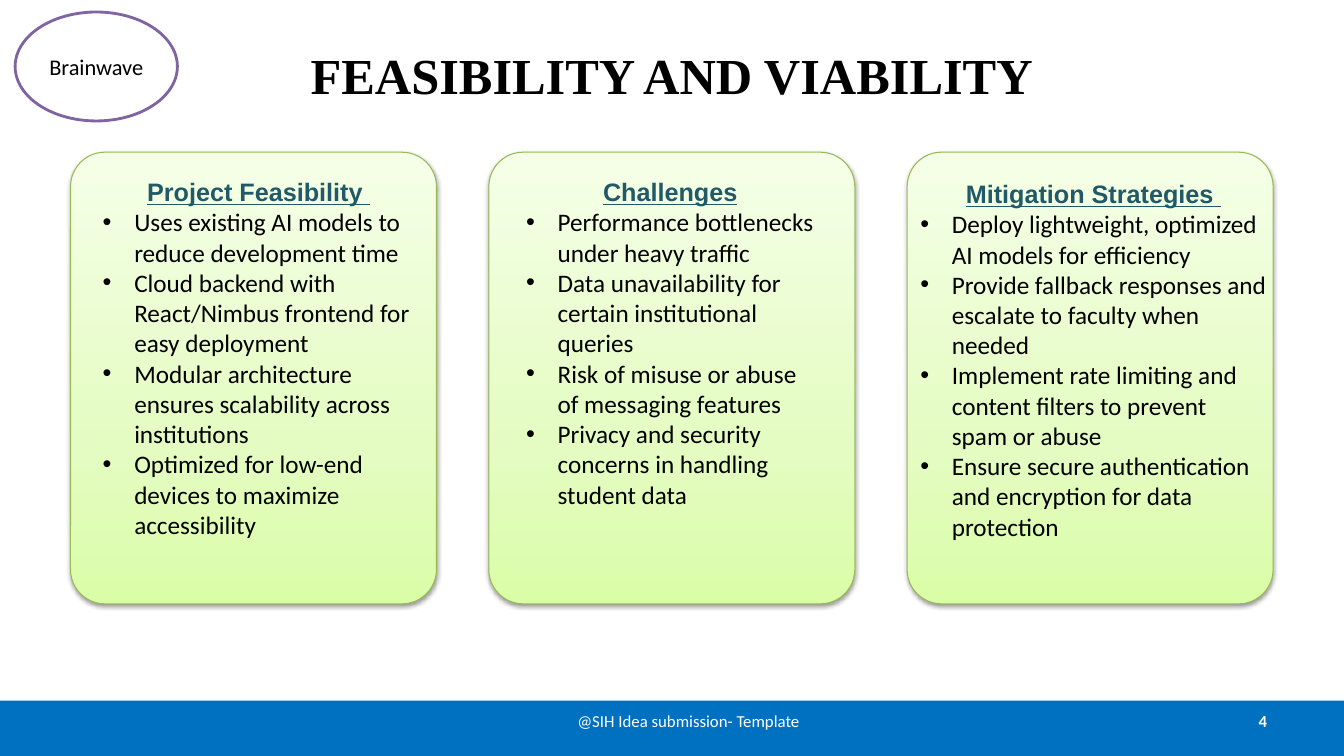
from copy import deepcopy
from dataclasses import dataclass
from lxml.etree import SubElement
from pptx import Presentation
from pptx.dml.color import RGBColor as Rgb
from pptx.enum.shapes import MSO_SHAPE as Shape
from pptx.enum.text import MSO_ANCHOR as Anchor, MSO_AUTO_SIZE as Fit, PP_ALIGN as Align
from pptx.oxml.ns import qn
from pptx.util import Pt

TITLE = "FEASIBILITY AND VIABILITY"
TEAM = "Brainwave "
FOOTER = "@SIH Idea submission- Template"
PAGE_NUMBER = "4"
COLUMNS = [
    {
        "heading": "Project Feasibility ",
        "points": [
            "Uses existing AI models to reduce development time",
            "Cloud backend with React/Nimbus frontend for easy deployment",
            "Modular architecture ensures scalability across institutions",
            "Optimized for low-end devices to maximize accessibility",
        ],
        "list_area": (66.2, 122.4, 236.9, 269.3),
    },
    {
        "heading": "Challenges",
        "points": [
            "Performance bottlenecks under heavy traffic",
            "Data unavailability for certain institutional queries",
            "Risk of misuse or abuse of messaging features",
            "Privacy and security concerns in handling student data",
        ],
        "list_area": (368.6, 122.4, 220.3, 269.3),
    },
    {
        "heading": "Mitigation Strategies ",
        "points": [
            "Deploy lightweight, optimized AI models for efficiency",
            "Provide fallback responses and escalate to faculty when needed",
            "Implement rate limiting and content filters to prevent spam or abuse",
            "Ensure secure authentication and encryption for data protection",
        ],
        "list_area": (650.2, 123.8, 261.4, 290.9),
    },
]


@dataclass(frozen=True)
class Theme:
    black: str = "000000"
    white: str = "FFFFFF"
    bar: str = "0070C0"
    bar_shadow: str = "808080"
    team_line: str = "8064A2"
    heading: str = "215968"
    card_line: str = "98B955"
    card_stops: tuple = ((0, "DAFDA7"), (0.35, "E4FCC2"), (1, "F5FFE7"))
    title_size: int = 36
    body_size: int = 18
    team_size: int = 16
    footer_size: int = 12
    title_font: str = "Times New Roman"
    heading_font: str = "Arial"
    body_font: str = "Calibri"


THEME = Theme()
WIDTH, HEIGHT = 960, 540
BAR_TOP = 500.4
CARD_LEFT, CARD_TOP, CARD_WIDTH, CARD_HEIGHT = 50.4, 108.7, 261.4, 322.6
CARD_PITCH = 298.8
BULLET_INDENT = 22.5


def add_text(frame, text, *, size, color=THEME.black, font=THEME.body_font,
             bold=False, underline=False, align=Align.LEFT, bullet=None):
    first = frame.paragraphs[0]
    para = frame.add_paragraph() if first.runs else first
    para.alignment = align
    para.space_before = Pt(0)
    span = para.add_run()
    span.text = text
    span.font.size = Pt(size)
    span.font.name = font
    span.font.bold = bold
    span.font.underline = underline
    span.font.color.rgb = Rgb.from_string(color)
    indent = Pt(BULLET_INDENT) if bullet else 0
    settings = para._p.get_or_add_pPr()
    settings.set("marL", str(indent))
    settings.set("indent", str(-indent))
    if bullet:
        SubElement(settings, qn("a:buFont"), typeface="Arial")
        SubElement(settings, qn("a:buChar"), char=bullet)
    else:
        SubElement(settings, qn("a:buNone"))


def place(box, left, top, width, height):
    box.left, box.top, box.width, box.height = map(Pt, (left, top, width, height))


def set_frame(box, anchor, fit=Fit.NONE):
    frame = box.text_frame
    frame.word_wrap = True
    frame.auto_size = fit
    frame.vertical_anchor = anchor
    return frame


def add_shape(page, kind, area, *, fill=None, line=None, line_width=0):
    shape = page.shapes.add_shape(kind, *map(Pt, area))
    shape.shadow.inherit = False
    if fill:
        shape.fill.solid()
        shape.fill.fore_color.rgb = Rgb.from_string(fill)
    if line:
        shape.line.color.rgb = Rgb.from_string(line)
        shape.line.width = Pt(line_width)
    else:
        shape.line.fill.background()
    return shape


def add_shadow(shape, color, opacity, blur, distance):
    effects = shape.element.spPr.find(qn("a:effectLst"))
    shadow = SubElement(effects, qn("a:outerShdw"), blurRad=str(Pt(blur)),
                        dist=str(Pt(distance)), dir="5400000", rotWithShape="0")
    tint = SubElement(shadow, qn("a:srgbClr"), val=color)
    SubElement(tint, qn("a:alpha"), val=str(opacity * 1000))


def fill_gradient(shape, stops):
    shape.fill.gradient()
    shape.fill.gradient_angle = 90
    stop_list = shape.element.spPr.find(f".//{qn('a:gsLst')}")
    while len(stop_list) < len(stops):
        stop_list.append(deepcopy(stop_list[0]))
    for stop, (position, color) in zip(shape.fill.gradient_stops, stops):
        stop.position = position
        stop.color.rgb = Rgb.from_string(color)


def add_card(page, index):
    area = (CARD_LEFT + index * CARD_PITCH, CARD_TOP, CARD_WIDTH, CARD_HEIGHT)
    card = add_shape(page, Shape.ROUNDED_RECTANGLE, area,
                     line=THEME.card_line, line_width=0.75)
    card.adjustments[0] = 0.094
    fill_gradient(card, THEME.card_stops)
    add_shadow(card, THEME.black, 38, 3.1, 1.6)
    return card


def add_column(page, index, column, box):
    card = add_card(page, index)
    box.element.addprevious(card.element)
    place(box, *column["list_area"])
    frame = set_frame(box, Anchor.TOP, Fit.SHAPE_TO_FIT_TEXT)
    add_text(frame, column["heading"], size=THEME.body_size, color=THEME.heading,
             font=THEME.heading_font, bold=True, underline=True, align=Align.CENTER)
    for point in column["points"]:
        add_text(frame, point, size=THEME.body_size, bullet="•")


def add_footer(page):
    bar = add_shape(page, Shape.RECTANGLE, (0, BAR_TOP, WIDTH, HEIGHT - BAR_TOP),
                    fill=THEME.bar)
    add_shadow(bar, THEME.bar_shadow, 35, 0, 1.8)
    for text, left, width, align, bold in (
        (PAGE_NUMBER, 688.3, 223.9, Align.RIGHT, True),
        (FOOTER, 365.8, 252, Align.CENTER, False),
    ):
        box = page.shapes.add_textbox(*map(Pt, (left, BAR_TOP, width, 28.8)))
        add_text(set_frame(box, Anchor.MIDDLE), text, size=THEME.footer_size,
                 color=THEME.white, bold=bold, align=align)


def main():
    deck = Presentation()
    deck.slide_width, deck.slide_height = Pt(WIDTH), Pt(HEIGHT)
    page = deck.slides.add_slide(deck.slide_layouts.get_by_name("Comparison"))
    title, *lists, spare = page.placeholders
    spare.element.getparent().remove(spare.element)

    place(title, 48, 7.9, 864, 90)
    add_text(set_frame(title, Anchor.MIDDLE), TITLE, size=THEME.title_size,
             font=THEME.title_font, bold=True, align=Align.CENTER)
    add_footer(page)
    team = add_shape(page, Shape.OVAL, (10.8, 8.6, 115.9, 77.8), fill=THEME.white,
                     line=THEME.team_line, line_width=2)
    add_text(set_frame(team, Anchor.MIDDLE), TEAM, size=THEME.team_size,
             align=Align.CENTER)
    for index, (column, box) in enumerate(zip(COLUMNS, lists)):
        add_column(page, index, column, box)
    deck.save("out.pptx")


if __name__ == "__main__":
    main()
